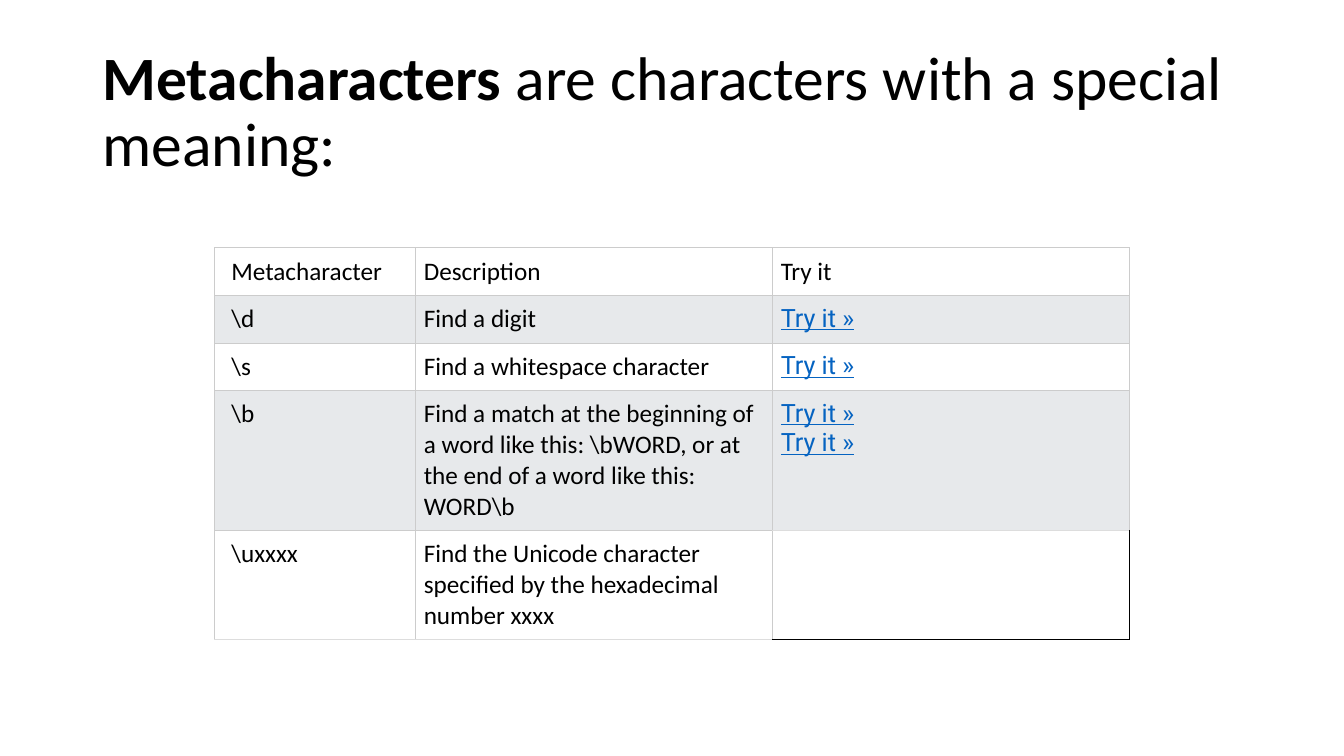
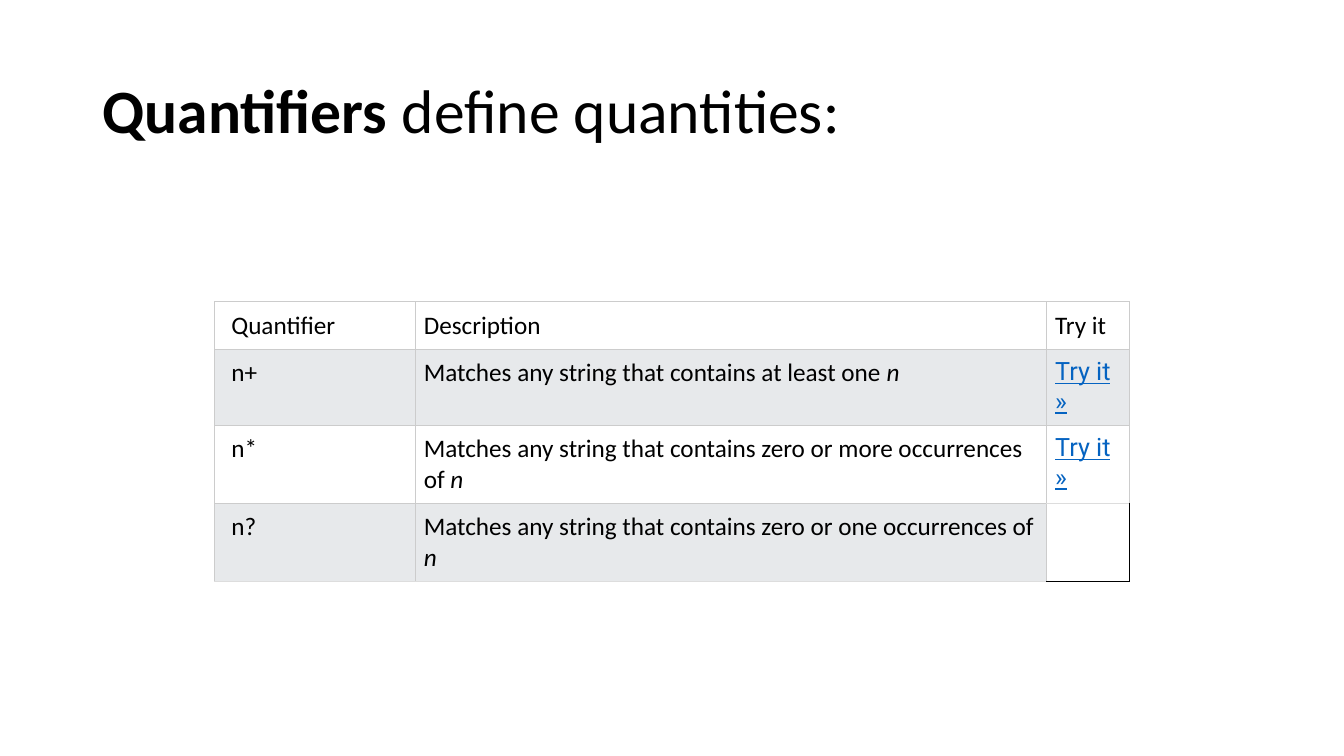
import pptx
import pptx.util
import pptx.dml.color
import pptx.enum.text
import pptx.oxml
import pptx.oxml.ns
from lxml import etree

Pt = pptx.util.Pt
RGB = pptx.dml.color.RGBColor

BLACK = RGB(0x00, 0x00, 0x00)
WHITE = RGB(0xFF, 0xFF, 0xFF)
BAND = RGB(0xE7, 0xE9, 0xEB)
GRID = RGB(0xCC, 0xCC, 0xCC)
PALE = RGB(0xDD, 0xDD, 0xDD)
LINK = RGB(0x05, 0x63, 0xC1)
FONT, LINK_FONT = "Calibri", "Roboto"

SIZE, TITLE_SIZE = 18, 44
PAD, INDENT = 6, 12
LEFT = 153.25
LINE = 22

TRY = "Try it »"

# Each row: first cell, description (plain, italic), links, lines of text
SLIDES = [
    {
        "title": ("Metacharacters", " are characters with a special meaning:"),
        "top": 177,
        "cols": (143.5, 255, 255),
        "rows": [
            ("Metacharacter", ("Description", ""), "Try it", 1),
            ("\\d", ("Find a digit", ""), TRY, 1),
            ("\\s", ("Find a whitespace character", ""), TRY, 1),
            ("\\b", ("Find a match at the beginning of a word like this: "
                     "\\bWORD, or at the end of a word like this: WORD\\b", ""),
             TRY + "\n" + TRY, 4),
            ("\\uxxxx", ("Find the Unicode character specified by the "
                         "hexadecimal number xxxx", ""), "", 3),
        ],
    },
    {
        "title": ("Quantifiers", " define quantities:"),
        "top": 215.5,
        "cols": (143.5, 451, 59),
        "rows": [
            ("Quantifier", ("Description", ""), "Try it", 1),
            ("n+", ("Matches any string that contains at least one ", "n"),
             TRY, 1.92),
            ("n*", ("Matches any string that contains zero or more "
                    "occurrences of ", "n"), TRY, 2),
            ("n?", ("Matches any string that contains zero or one "
                    "occurrences of ", "n"), "", 2),
        ],
    },
]


def add_run(para, text, size=SIZE, name=FONT, color=BLACK, **style):
    run = para.add_run()
    run.text = text
    run.font.size = Pt(size)
    run.font.name = name
    run.font.color.rgb = color
    for key, value in style.items():
        setattr(run.font, key, value)


def set_edges(cell, edges):
    """Draw the cell borders; edges maps L, R, T, B to a colour."""
    props = cell._tc.get_or_add_tcPr()
    for side in "LRTB":
        line = etree.SubElement(props, pptx.oxml.ns.qn("a:ln" + side),
                                w=str(Pt(0.75)))
        fill = etree.SubElement(line, pptx.oxml.ns.qn("a:solidFill"))
        etree.SubElement(fill, pptx.oxml.ns.qn("a:srgbClr"),
                         val=str(edges[side]))


def fill_cell(para, col, value, head):
    if col == 1:
        plain, slant = value
        add_run(para, plain)
        if slant:
            add_run(para, slant, italic=True)
    elif col == 2 and not head:
        for i, link in enumerate(value.split("\n")):
            if i:
                para.add_line_break()
            add_run(para, link, name=LINK_FONT, color=LINK, underline=True)
    else:
        add_run(para, value)


def add_grid(slide, top, cols, rows):
    heights = [LINE * row[-1] + 2 * PAD for row in rows]
    frame = slide.shapes.add_table(len(rows), len(cols), Pt(LEFT), Pt(top),
                                   Pt(sum(cols)), Pt(sum(heights)))
    table = frame.table
    table.first_row = table.horz_banding = False
    for col, width in zip(table.columns, cols):
        col.width = Pt(width)
    last = len(rows) - 1
    for r, row in enumerate(rows):
        table.rows[r].height = Pt(heights[r])
        for c, value in enumerate(row[:-1]):
            cell = table.cell(r, c)
            edges = dict.fromkeys("LRTB", GRID)
            if not value:
                set_edges(cell, {**edges, "T": PALE, "R": BLACK, "B": BLACK})
                cell.fill.background()
                continue
            if r == last or not rows[r + 1][c]:
                edges["B"] = PALE
            set_edges(cell, edges)
            cell.fill.solid()
            cell.fill.fore_color.rgb = BAND if r % 2 else WHITE
            cell.margin_left = Pt(PAD if c else INDENT)
            cell.margin_right = cell.margin_top = cell.margin_bottom = Pt(PAD)
            fill_cell(cell.text_frame.paragraphs[0], c, value, r == 0)


def add_title(slide, bold, rest):
    title = slide.shapes.title
    title.left, title.top = Pt(66), Pt(28.75)
    title.width, title.height = Pt(828), Pt(104.5)
    frame = title.text_frame
    frame.word_wrap = True
    frame.auto_size = pptx.enum.text.MSO_AUTO_SIZE.NONE
    frame.vertical_anchor = pptx.enum.text.MSO_ANCHOR.MIDDLE
    para = frame.paragraphs[0]
    para.alignment = pptx.enum.text.PP_ALIGN.LEFT
    para.line_spacing = 0.9
    add_run(para, bold, TITLE_SIZE, bold=True)
    add_run(para, rest, TITLE_SIZE, bold=False)


def main():
    deck = pptx.Presentation()
    deck.slide_width, deck.slide_height = Pt(960), Pt(540)
    for page in SLIDES:
        slide = deck.slides.add_slide(deck.slide_layouts[5])
        add_title(slide, *page["title"])
        add_grid(slide, page["top"], page["cols"], page["rows"])
    deck.save("out.pptx")


if __name__ == "__main__":
    main()
